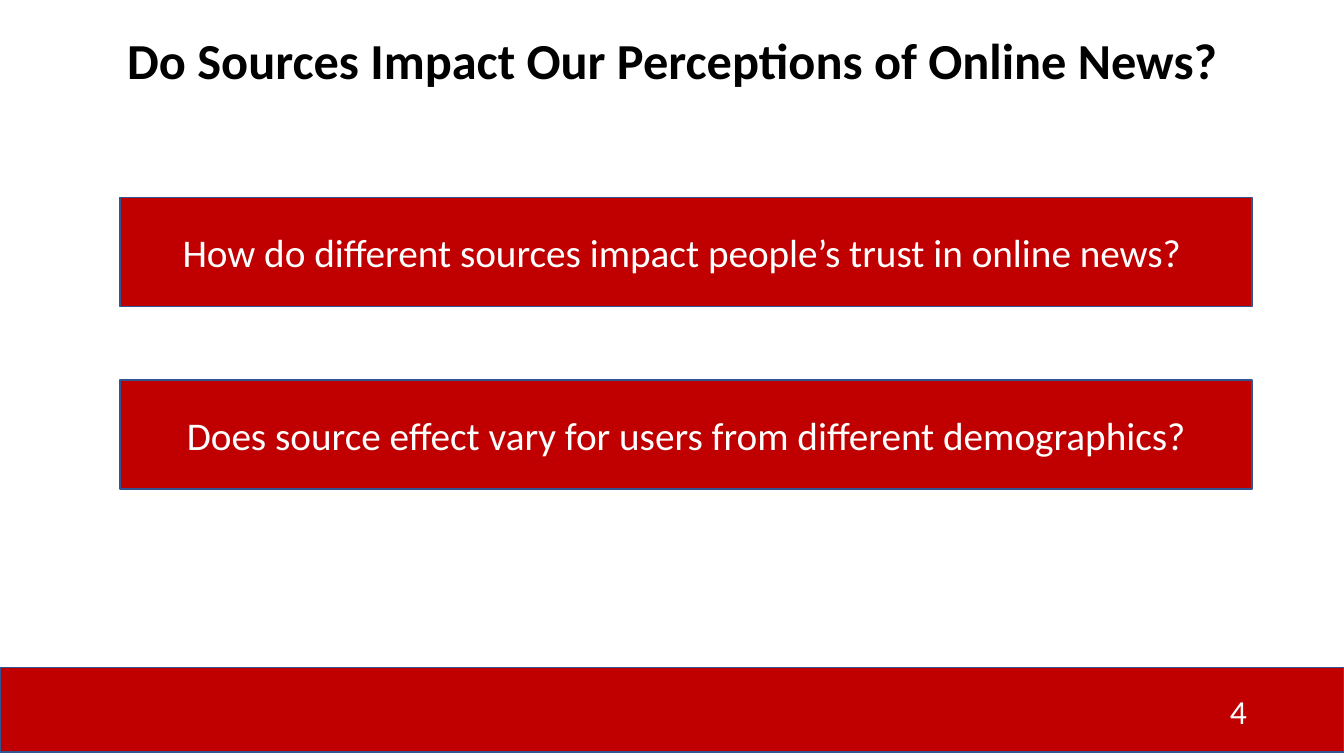
from pptx import Presentation
from pptx import util as u
from pptx.dml.color import RGBColor
from pptx.enum import shapes, text

RED = RGBColor(0xC0, 0x00, 0x00)
BLUE = RGBColor(0x32, 0x54, 0x91)
WHITE = RGBColor(0xFF, 0xFF, 0xFF)
BLACK = RGBColor(0x00, 0x00, 0x00)

QUESTIONS = [
    "How do different sources impact people’s trust in online news? ",
    "Does source effect vary for users from different demographics?",
]
QUESTION_TOP, QUESTION_STEP = 1.96, 1.81


def add_bar(s, left, top, width, height):
    """Add a red rectangle with a thin blue outline."""
    sp = s.shapes.add_shape(shapes.MSO_SHAPE.RECTANGLE, u.Inches(left),
                            u.Inches(top), u.Inches(width), u.Inches(height))
    sp.shadow.inherit = False
    sp.fill.solid()
    sp.fill.fore_color.rgb = RED
    sp.line.color.rgb = BLUE
    sp.line.width = u.Pt(1)
    return sp


def write(sp, words, size, color, align, bold=False):
    tf = sp.text_frame
    tf.text = words
    tf.word_wrap = True
    tf.vertical_anchor = text.MSO_ANCHOR.MIDDLE
    p = tf.paragraphs[0]
    p.alignment = align
    font = p.runs[0].font
    font.name = "Calibri"
    font.size = u.Pt(size)
    font.bold = bold
    font.color.rgb = color


prs = Presentation()
prs.slide_width, prs.slide_height = u.Inches(13.33), u.Inches(7.5)
s = prs.slides.add_slide(prs.slide_layouts[5])

# Footer band with the page number
add_bar(s, 0, 6.62, 13.33, 0.84)
number = s.shapes.add_textbox(u.Inches(12.1), u.Inches(6.84),
                              u.Inches(0.99), u.Inches(0.42))
write(number, "4", 24, WHITE, text.PP_ALIGN.LEFT)

# Title
title = s.shapes.title
title.left, title.top = u.Inches(0.92), u.Inches(0.34)
title.width, title.height = u.Inches(11.5), u.Inches(0.57)
write(title, "Do Sources Impact Our Perceptions of Online News?", 36, BLACK,
      text.PP_ALIGN.CENTER, bold=True)
title.text_frame.auto_size = text.MSO_AUTO_SIZE.NONE
title.text_frame.paragraphs[0].line_spacing = 0.9

# Research questions
for row, question in enumerate(QUESTIONS):
    box = add_bar(s, 1.19, QUESTION_TOP + row * QUESTION_STEP, 11.23, 1.08)
    write(box, question, 28, WHITE, text.PP_ALIGN.CENTER)

prs.save("out.pptx")
